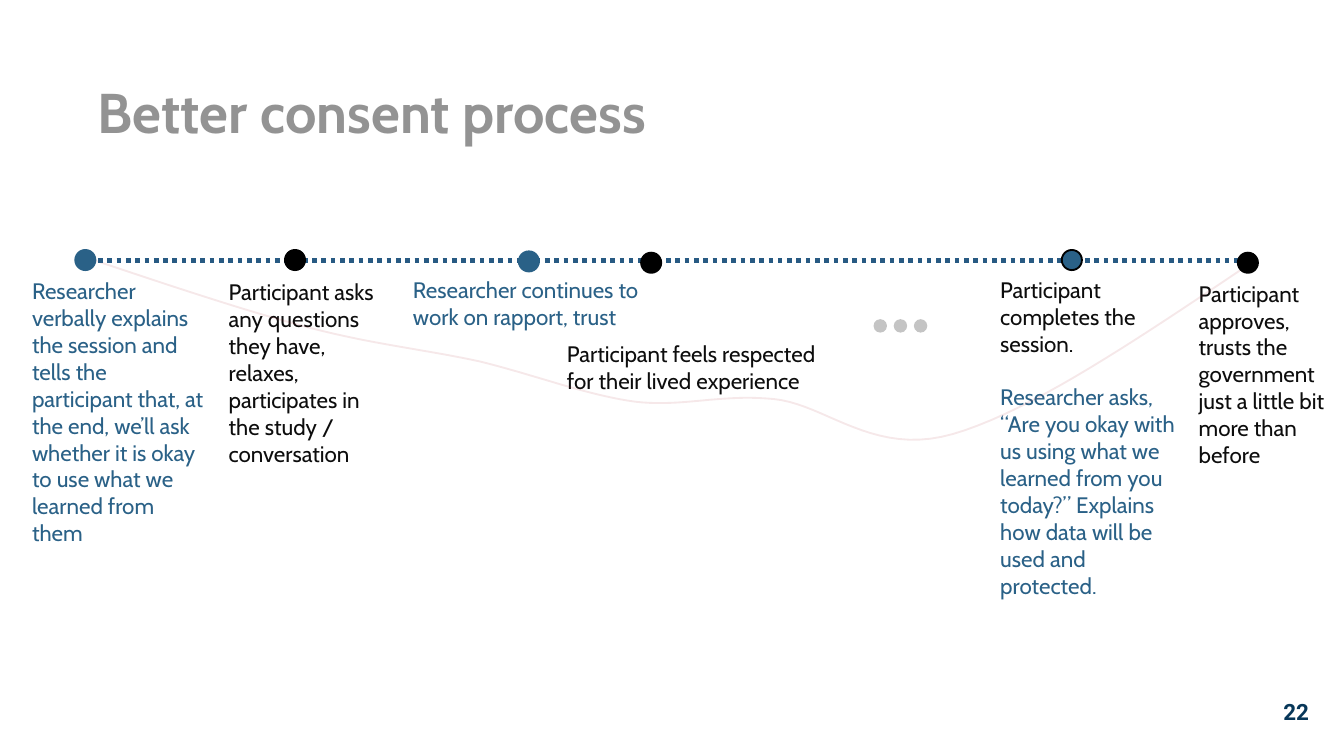
from lxml import etree
from pptx import Presentation
from pptx.dml.color import RGBColor
from pptx.enum.dml import MSO_LINE
from pptx.enum.shapes import MSO_CONNECTOR, MSO_SHAPE
from pptx.enum.text import MSO_ANCHOR as Anchor, MSO_AUTO_SIZE as AutoSize, PP_ALIGN as Align
from pptx.oxml.ns import qn
from pptx.util import Inches, Pt

COLORS = {
    "title": "939393", "researcher": "2A6187", "participant": "0D0D0D",
    "axis": "285A83", "dot": "000000", "ellipsis": "C4C4C4",
    "mood": "A72431", "number": "073759",
}

deck = Presentation()
deck.slide_width = Inches(10)
deck.slide_height = deck.slide_width * 9 // 16
slide = deck.slides.add_slide(deck.slide_layouts[5])
shapes = slide.shapes
CELL = deck.slide_width / 100  # square grid, 100 columns across


def grid(*cells):
    return [round(cell * CELL) for cell in cells]


def style(paragraph, color, size=12, face="Cabin", bold=False):
    for run in paragraph.runs:
        run.font.name, run.font.size, run.font.bold = face, Pt(size), bold
        run.font.color.rgb = RGBColor.from_string(COLORS[color])


# Title
title = shapes.title
title.left, title.top, title.width, title.height = grid(6.25, 5.85, 86.9, 5.3)
heading = title.text_frame
heading.text = "Better consent process"
heading.vertical_anchor, heading.auto_size = Anchor.TOP, AutoSize.NONE
heading.paragraphs[0].alignment = Align.LEFT
heading.paragraphs[0].line_spacing = 0.9
style(heading.paragraphs[0], "title", 30, bold=True)

# Steps: box on the grid, then (speaker, wording) paragraphs
steps = [
    ((1.4, 20.15, 15, 21.2), [("researcher", "Researcher verbally explains the session and tells the "
                               "participant that, at the end, we’ll ask whether it is okay to "
                               "use what we learned from them")]),
    ((16.03, 20.22, 12.9, 15.1), [("participant", "Participant asks any questions they have, relaxes, "
                                   "participates in the study / conversation")]),
    ((29.74, 20.05, 20.8, 7.1), [("researcher", "Researcher continues to work on rapport, trust")]),
    ((41.2, 24.8, 20.8, 7.1), [("participant",
                                "Participant feels respected for their lived experience")]),
    ((73.44, 20.05, 15, 25.2), [("participant", "Participant completes the session."),
                                ("researcher", "Researcher asks, “Are you okay with us using what we "
                                 "learned from you today?” Explains how data will be used and "
                                 "protected.")]),
    ((88.2, 20.33, 12.9, 15.1), [("participant", "Participant approves, trusts the government "
                                  "just a little bit more than before")]),
]
for box, passages in steps:
    step = shapes.add_textbox(*grid(*box)).text_frame
    step.word_wrap = True
    step.text = "\n".join(wording for _, wording in passages)
    for paragraph, (speaker, _) in zip(step.paragraphs, passages):
        style(paragraph, speaker)
    for paragraph in step.paragraphs[1:]:
        paragraph.space_before = Pt(14.4)

# Slide number
number = shapes.add_textbox(*grid(94.3, 51.4, 3.1, 3.1)).text_frame
number.margin_left = number.margin_right = number.margin_top = number.margin_bottom = 0
number.vertical_anchor = Anchor.MIDDLE
number.text = "22"
number.paragraphs[0].alignment = Align.RIGHT
style(number.paragraphs[0], "number", face="Roboto", bold=True)

# Mood curve: Bezier knots and handles, sampled into short segments
knots = [(6.5, 19.2), (12.2, 21.1), (17.8, 23), (22.7, 24.3), (27.5, 25.6), (31.6, 26),
         (35.7, 26.9), (39.8, 27.9), (43.6, 29.4), (47.3, 29.9), (50.9, 30.3), (53.6, 29.3),
         (57.6, 29.7), (61.5, 30.1), (65, 34), (70.9, 32.3), (76.8, 30.6), (85, 25), (93.2, 19.5)]
SAMPLES = 20
points = []
for first in range(0, len(knots) - 1, 3):
    for sample in range(1, SAMPLES + 1):
        t = sample / SAMPLES
        weights = ((1 - t) ** 3, 3 * t * (1 - t) ** 2, 3 * t ** 2 * (1 - t), t ** 3)
        points.append(grid(*(sum(w * knot[axis] for w, knot in zip(weights, knots[first:first + 4]))
                             for axis in (0, 1))))
outline = shapes.build_freeform(*grid(*knots[0]))
outline.add_line_segments(points, close=False)
mood = outline.convert_to_shape()
mood.shadow.inherit = False
mood.fill.background()
mood.line.width = Pt(1)
mood.line.color.rgb = RGBColor.from_string(COLORS["mood"])
tint = mood.line.fill._xPr.find(".//" + qn("a:srgbClr"))
etree.SubElement(tint, qn("a:alpha"), val="10000")

# Dotted time axis
axis = shapes.add_connector(MSO_CONNECTOR.STRAIGHT, *grid(6.6, 19.4, 93.4, 19.4))
axis.line.width, axis.line.dash_style = Pt(2.5), MSO_LINE.ROUND_DOT
axis.line.color.rgb = RGBColor.from_string(COLORS["axis"])
etree.SubElement(axis._element.spPr, qn("a:effectLst"))

# Dots: left, top, diameter, fill, outline
milestones = [
    (5.6, 18.6, 1.5, "researcher", "researcher"),
    (38.6, 18.7, 1.5, "researcher", "researcher"),
    (47.7, 18.8, 1.5, "dot", "dot"),
    (79, 18.6, 1.5, "researcher", "dot"),
    (21.2, 18.6, 1.5, "dot", "dot"),
    (92.1, 18.8, 1.5, "dot", "dot"),
]
ellipsis = [(65 + 1.5 * place, 23.75, 1, "ellipsis", None) for place in range(3)]
for left, top, diameter, fill, edge in milestones + ellipsis:
    dot = shapes.add_shape(MSO_SHAPE.OVAL, *grid(left, top, diameter, diameter))
    dot.shadow.inherit = False
    dot.fill.solid()
    dot.fill.fore_color.rgb = RGBColor.from_string(COLORS[fill])
    if edge:
        dot.line.width = Pt(1)
        dot.line.color.rgb = RGBColor.from_string(COLORS[edge])
    else:
        dot.line.fill.background()

deck.save("out.pptx")
